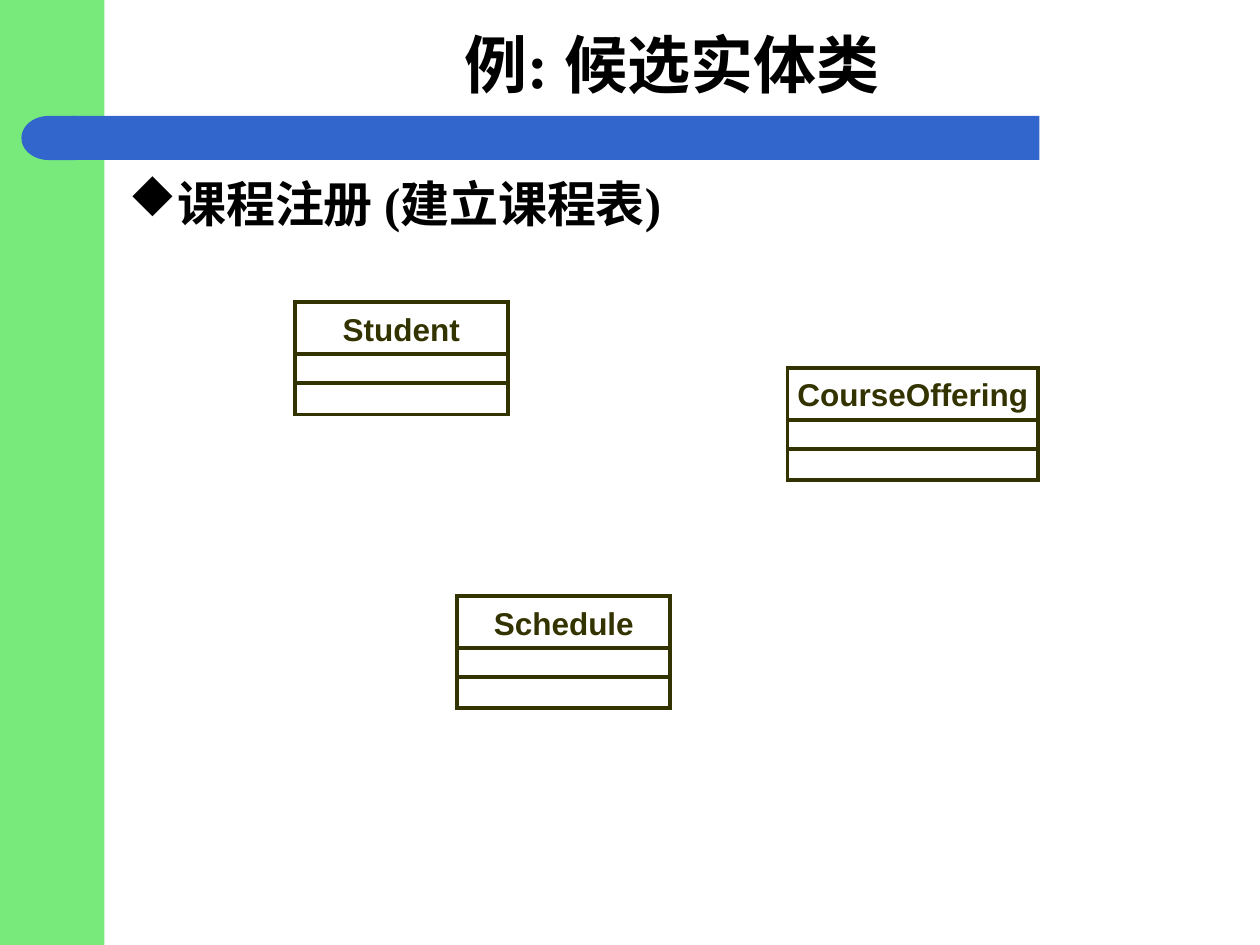
from lxml import etree
from pptx import Presentation
from pptx.dml.color import RGBColor
from pptx.enum import shapes, text
from pptx.oxml.ns import qn
from pptx.util import Inches, Pt

GREEN = RGBColor(0x78, 0xEA, 0x7B)
BLUE = RGBColor(0x33, 0x66, 0xCC)
OLIVE = RGBColor(0x33, 0x33, 0x00)
BLACK = RGBColor(0, 0, 0)

prs = Presentation()
prs.slide_width, prs.slide_height = Inches(10), Inches(7.5)
s = prs.slides.add_slide(prs.slide_layouts[6])


def add_shape(kind, x, y, w, h, fill=None):
    sp = s.shapes.add_shape(kind, Inches(x), Inches(y), Inches(w), Inches(h))
    sp.shadow.inherit = False
    if fill is None:
        sp.fill.background()
        sp.line.color.rgb = OLIVE
        sp.line.width = Pt(2.25)
        ln = sp._element.spPr.find(qn("a:ln"))
        etree.SubElement(ln, qn("a:miter")).set("lim", "800000")
    else:
        sp.fill.solid()
        sp.fill.fore_color.rgb = fill
        sp.line.fill.background()
    return sp


def add_text(words, x, y, w, h, align, frame, bullet=None, **font):
    """Add a one-paragraph box; frame and font hold attribute values."""
    tf = s.shapes.add_textbox(Inches(x), Inches(y), Inches(w), Inches(h)).text_frame
    for name, value in frame.items():
        setattr(tf, name, value)
    p = tf.paragraphs[0]
    p.alignment = align
    if bullet:
        pPr = p._p.get_or_add_pPr()
        pPr.set("marL", str(Inches(0.38)))
        pPr.set("indent", str(-Inches(0.38)))
        etree.SubElement(pPr, qn("a:buFont")).set("typeface", "Wingdings")
        etree.SubElement(pPr, qn("a:buChar")).set("char", bullet)
    r = p.add_run()
    r.text = words
    color = font.pop("color")
    for name, value in font.items():
        setattr(r.font, name, value)
    r.font.color.rgb = color


# Side band and title bar with a rounded left end
KIND = shapes.MSO_SHAPE
add_shape(KIND.RECTANGLE, 0, 0, 0.83, 7.5, GREEN)
add_shape(KIND.RECTANGLE, 0.58, 0.92, 7.67, 0.35, BLUE)
add_shape(KIND.FLOWCHART_DELAY, 0.17, 0.92, 0.43, 0.35, BLUE).rotation = 180

# UML classes: name, left, top, width
CLASSES = [
    ("Student", 2.34, 2.4, 1.69),
    ("CourseOffering", 6.25, 2.92, 1.99),
    ("Schedule", 3.63, 4.73, 1.69),
]
label_frame = dict(margin_left=0, margin_right=0, margin_top=0, margin_bottom=0,
                   word_wrap=False)
for name, x, y, w in CLASSES:
    add_shape(KIND.RECTANGLE, x, y, w, 0.89)
    for dy in (0.41, 0.64):
        line = s.shapes.add_connector(shapes.MSO_CONNECTOR.STRAIGHT, Inches(x),
                                      Inches(y + dy), Inches(x + w), Inches(y + dy))
        line.line.color.rgb = OLIVE
        line.line.width = Pt(2.25)
        etree.SubElement(line._element.spPr, qn("a:effectLst"))
    add_text(name, x, y + 0.06, w, 0.3, text.PP_ALIGN.CENTER, label_frame,
             name="Arial", size=Pt(18), bold=True, color=OLIVE)

# Title and bullet
heading = dict(name="Times New Roman", bold=True, color=BLACK)
add_text("例: 候选实体类", 0.92, 0.17, 8.83, 0.67, text.PP_ALIGN.CENTER,
         dict(word_wrap=True, vertical_anchor=text.MSO_ANCHOR.MIDDLE),
         size=Pt(36), **heading)
add_text("课程注册 (建立课程表)", 0.92, 1.33, 8.92, 0.75, text.PP_ALIGN.LEFT,
         dict(word_wrap=True), bullet="u", size=Pt(28), **heading)

prs.save("out.pptx")
